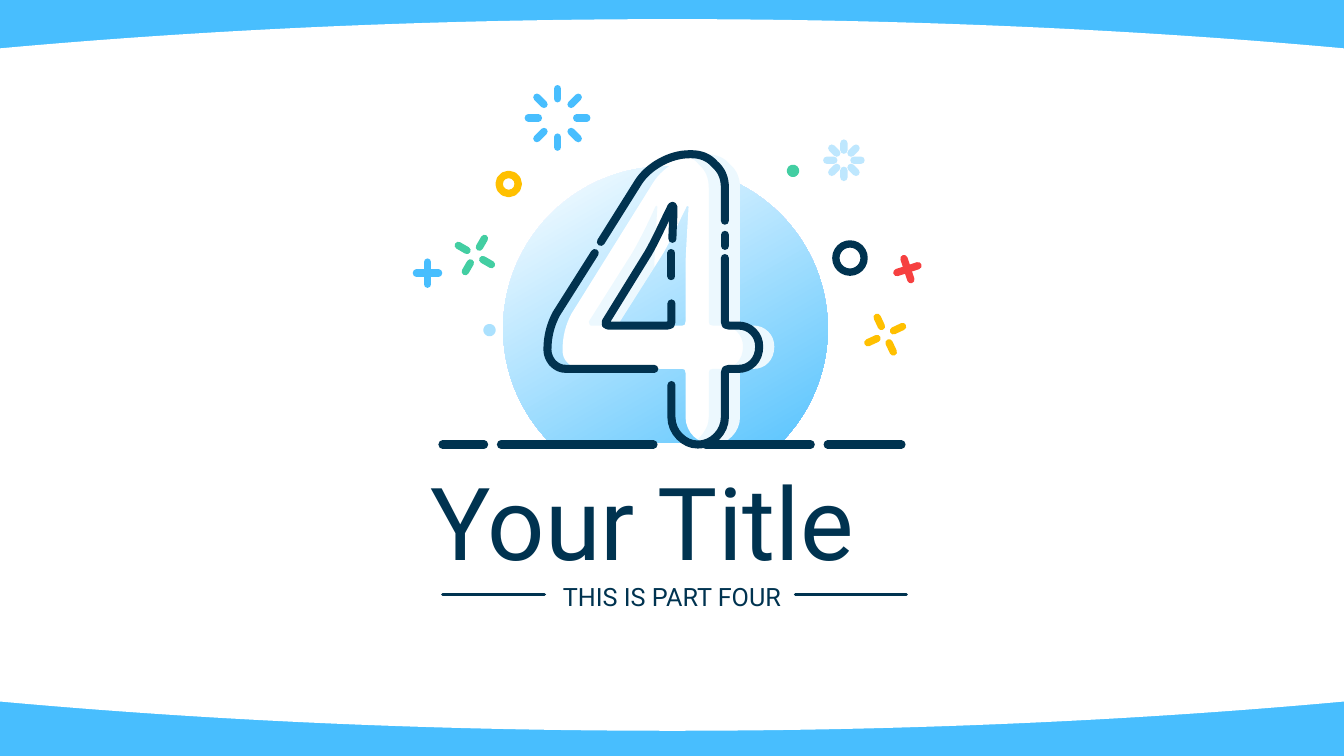
import math

import lxml.etree
import pptx
import pptx.dml.color
import pptx.enum.shapes
import pptx.enum.text
import pptx.oxml.ns
import pptx.util

EMU_PER_PX = 9144  # 100 px to the inch
COLORS = {"sky": "48BEFE", "pale": "86D3FE", "navy": "003350", "ink": "01324F",
          "green": "43CEA2", "yellow": "FFC000", "red": "F64040", "white": "FFFFFF"}

# Outlines in px: M starts a contour, L is a line, C a curve, Z closes
POINTS_PER_COMMAND = {"M": 1, "L": 1, "C": 3, "Z": 0}
PANEL = ("M 0 48 L 11 47 C 213 29 434 19 667 19 C 899 19 1121 29 1322 47 L 1333 48 "
         "L 1333 696 L 1322 697 C 1121 715 899 725 667 725 C 434 725 213 715 11 697 L 0 696 Z")
FOUR_BODY = (
    "M 738 323 L 747 323 C 753 323 758 325 762 329 C 766 333 768 338 768 344 "
    "C 768 350 766 356 762 360 C 758 364 753 366 747 366 L 738 366 C 735 366 734 367 734 370 "
    "L 734 414 C 734 421 731 428 726 433 C 721 438 715 441 707 441 C 700 441 694 438 688 433 "
    "C 683 428 680 421 680 414 L 680 370 C 680 367 679 366 677 366 L 577 366 "
    "C 571 366 567 364 563 360 C 559 356 558 352 558 347 C 558 334 561 322 567 311 L 648 181 "
    "C 653 173 661 166 670 161 C 679 156 688 153 698 153 L 701 153 C 710 153 718 156 724 163 "
    "C 731 169 734 177 734 186 L 734 319 C 734 322 735 323 738 323 Z "
    "M 615 319 C 615 322 616 323 617 323 L 677 323 C 679 323 680 322 680 319 L 680 264 "
    "C 680 257 681 238 683 205 C 683 204 681 204 681 205 C 673 221 666 237 658 251 L 615 319 Z")
LEFT_TINT = (
    "M 651 204 C 650 204 650 205 650 205 C 643 221 635 237 627 251 L 584 319 "
    "C 584 321 585 323 586 323 L 617 323 C 616 323 615 321 615 319 L 649 265 "
    "C 649 257 650 238 652 205 C 652 205 652 204 651 204 Z")
RIGHT_TINT = (
    "M 701 153 L 698 153 C 693 153 688 154 682 155 C 686 157 690 159 693 163 "
    "C 700 169 703 177 703 186 L 703 319 C 703 322 704 323 707 323 L 716 323 "
    "C 722 323 727 325 731 329 C 735 333 737 338 737 344 C 737 350 735 356 731 360 "
    "C 727 364 722 366 716 366 L 707 366 C 704 366 703 367 703 370 L 703 414 "
    "C 703 421 700 428 692 436 C 696 439 701 441 707 441 C 715 441 721 438 726 433 "
    "C 731 428 734 421 734 414 L 734 370 C 734 367 735 366 738 366 L 747 366 "
    "C 753 366 758 364 762 360 C 766 356 768 350 768 344 C 768 338 766 333 762 329 "
    "C 758 325 753 323 747 323 L 738 323 C 735 323 734 322 734 319 L 734 186 "
    "C 734 177 731 169 724 163 C 718 156 710 153 701 153 Z")
FOUR_STROKES = (
    "M 666 382 L 666 414 C 666 421 669 428 674 433 C 679 438 685 441 692 441 "
    "C 700 441 706 438 711 433 C 716 428 719 421 719 414 L 719 370 C 719 367 720 366 723 366 "
    "L 732 366 C 738 366 743 364 747 360 C 751 356 753 350 753 344 C 753 338 751 333 747 329 "
    "C 743 325 738 323 732 323 L 723 323 C 720 323 719 322 719 319 L 719 256 "
    "M 649 366 L 562 366 C 556 366 552 364 548 360 C 545 356 543 352 543 347 "
    "C 543 334 546 322 552 311 L 590 251 "
    "M 667 237 C 667 228 668 218 668 205 C 668 204 666 204 666 205 C 658 221 651 237 643 251 "
    "L 601 319 C 600 321 601 323 603 323 L 662 323 C 665 323 666 322 666 319 L 666 301 "
    "M 666 274 L 666 251 M 719 244 L 719 233 "
    "M 596 240 L 633 181 C 638 173 646 166 655 161 C 664 156 674 153 684 153 L 686 153 "
    "C 695 153 703 156 709 163 C 716 169 719 177 719 186 L 719 219")


def px(value):
    return pptx.util.Emu(round(value * EMU_PER_PX))


def rgb(name):
    return pptx.dml.color.RGBColor.from_string(COLORS[name])


def set_alpha(parent, percent):
    qn = pptx.oxml.ns.qn
    color = parent.find(f"{qn('a:solidFill')}/{qn('a:srgbClr')}")
    lxml.etree.SubElement(color, qn("a:alpha"), val=str(percent * 1000))


def set_line(shape, color, width, alpha=100):
    qn = pptx.oxml.ns.qn
    shape.line.color.rgb = rgb(color)
    shape.line.width = pptx.util.Pt(width)
    line = shape.element.spPr.find(qn("a:ln"))
    line.set("cap", "rnd")
    lxml.etree.SubElement(line, qn("a:round"))
    if alpha < 100:
        set_alpha(line, alpha)


def set_fill(shape, color, alpha=100):
    shape.fill.solid()
    shape.fill.fore_color.rgb = rgb(color)
    shape.line.fill.background()
    if alpha < 100:
        set_alpha(shape.element.spPr, alpha)


def outline_steps(outline):
    tokens = iter(outline.split())
    return [(command, [(px(int(next(tokens))), px(int(next(tokens))))
                       for _ in range(POINTS_PER_COMMAND[command])])
            for command in tokens]


def bend_curves(shape, steps):
    """Join each curve's three line nodes into one Bezier node."""
    qn = pptx.oxml.ns.qn
    drawing = next(shape.element.iter(qn("a:path")))
    nodes = iter(list(drawing))
    for command, points in steps:
        group = [next(nodes) for _ in range(max(1, len(points)))]
        if command == "C":
            curve = lxml.etree.Element(qn("a:cubicBezTo"))
            group[0].addprevious(curve)
            for node in group:
                curve.append(node[0])
                drawing.remove(node)


def add_outline(slide, outline):
    steps = outline_steps(outline)
    builder = slide.shapes.build_freeform(*steps[0][1][0], scale=1.0)
    for command, points in steps[1:]:
        if command == "M":
            builder.move_to(*points[0])
        else:
            builder.add_line_segments(points, close=command == "Z")
    shape = builder.convert_to_shape()
    bend_curves(shape, steps)
    shape.shadow.inherit = False
    return shape


def add_line(slide, start, end, color, width, alpha=100):
    line = slide.shapes.add_connector(pptx.enum.shapes.MSO_CONNECTOR.STRAIGHT,
                                      *map(px, start + end))
    set_line(line, color, width, alpha)
    lxml.etree.SubElement(line.element.spPr, pptx.oxml.ns.qn("a:effectLst"))


def add_burst(slide, x, y, inner, outer, count, step, tilt, color, alpha=100):
    for index in range(count):
        angle = math.radians(tilt + index * step)
        start, end = ((x + radius * math.cos(angle), y + radius * math.sin(angle))
                      for radius in (inner, outer))
        add_line(slide, start, end, color, 5.25, alpha)


def add_ring(slide, left, top, size, color, alpha=100):
    ring = slide.shapes.add_shape(pptx.enum.shapes.MSO_SHAPE.OVAL,
                                  *map(px, (left, top, size, size)))
    ring.shadow.inherit = False
    ring.fill.background()
    set_line(ring, color, 5.25, alpha)


def add_globe(slide):
    globe = slide.shapes.add_shape(pptx.enum.shapes.MSO_SHAPE.CHORD,
                                   *map(px, (499, 165, 322, 322)))
    globe.shadow.inherit = False
    globe.adjustments[0], globe.adjustments[1] = 81.12, 26.87
    globe.line.fill.background()
    globe.fill.gradient()
    globe.fill.gradient_angle = 300
    for stop, color in zip(globe.fill.gradient_stops, ("white", "sky")):
        stop.color.rgb = rgb(color)


def write_placeholder(slide, placeholder, text, box, size, alignment):
    slide.shapes.element.append(placeholder.element)  # bring to front
    for name, value in zip(("left", "top", "width", "height"), box):
        setattr(placeholder, name, px(value))
    frame = placeholder.text_frame
    frame.text = text
    frame_format = {"word_wrap": False,
                    "auto_size": pptx.enum.text.MSO_AUTO_SIZE.SHAPE_TO_FIT_TEXT,
                    "vertical_anchor": pptx.enum.text.MSO_ANCHOR.TOP}
    paragraph = frame.paragraphs[0]
    paragraph_format = {"alignment": alignment, "space_before": pptx.util.Pt(0)}
    font = paragraph.runs[0].font
    font_format = {"name": "Roboto", "size": pptx.util.Pt(size), "bold": False}
    for target, values in ((frame, frame_format), (paragraph, paragraph_format),
                           (font, font_format)):
        for name, value in values.items():
            setattr(target, name, value)
    font.color.rgb = rgb("navy")


def main():
    presentation = pptx.Presentation()
    presentation.slide_width, presentation.slide_height = px(1333), px(750)
    slide = presentation.slides.add_slide(presentation.slide_layouts[0])
    slide.background.fill.solid()
    slide.background.fill.fore_color.rgb = rgb("sky")

    # Curved panel and globe
    set_fill(add_outline(slide, PANEL), "white")
    add_globe(slide)

    # Title and subtitle with side rules
    align = pptx.enum.text.PP_ALIGN
    title, subtitle = slide.placeholders
    write_placeholder(slide, title, "Your Title", (417, 451, 500, 131), 72, align.LEFT)
    write_placeholder(slide, subtitle, "THIS IS PART FOUR", (542, 572, 249, 40), 18, align.CENTER)
    for left, right in ((439, 540), (789, 899)):
        add_line(slide, (left, 590), (right, 590), "navy", 2.25)

    # Ground line behind the numeral
    for left, right in ((497, 648), (439, 480), (821, 894)):
        add_line(slide, (left, 441), (right, 441), "navy", 6)

    # Fireworks: x, y, inner and outer radius, rays, step, tilt, colour
    for burst in ((471, 253, 9, 19, 4, 90, 30, "green"),
                  (424, 271, -11, 11, 2, 90, 0, "sky"),
                  (837, 159, 10, 17, 8, 45, 0, "pale", 52),
                  (553, 117, 19, 29, 8, 45, 0, "sky"),
                  (900, 267, -11, 11, 2, 90, -18, "red"),
                  (878, 332, 9, 19, 4, 90, -25, "yellow")):
        add_burst(slide, *burst)
    for ring in ((495, 173, 19, "yellow"), (784, 167, 5, "green"),
                 (483, 325, 5, "sky", 46), (829, 242, 28, "navy")):
        add_ring(slide, *ring)

    # Numeral: body, tints, broken outline
    set_fill(add_outline(slide, FOUR_BODY), "white")
    for tint in (LEFT_TINT, RIGHT_TINT):
        set_fill(add_outline(slide, tint), "sky", 10)
    strokes = add_outline(slide, FOUR_STROKES)
    strokes.fill.background()
    set_line(strokes, "ink", 5.75)
    add_line(slide, (700, 441), (804, 441), "navy", 6)

    presentation.save("out.pptx")


if __name__ == "__main__":
    main()
